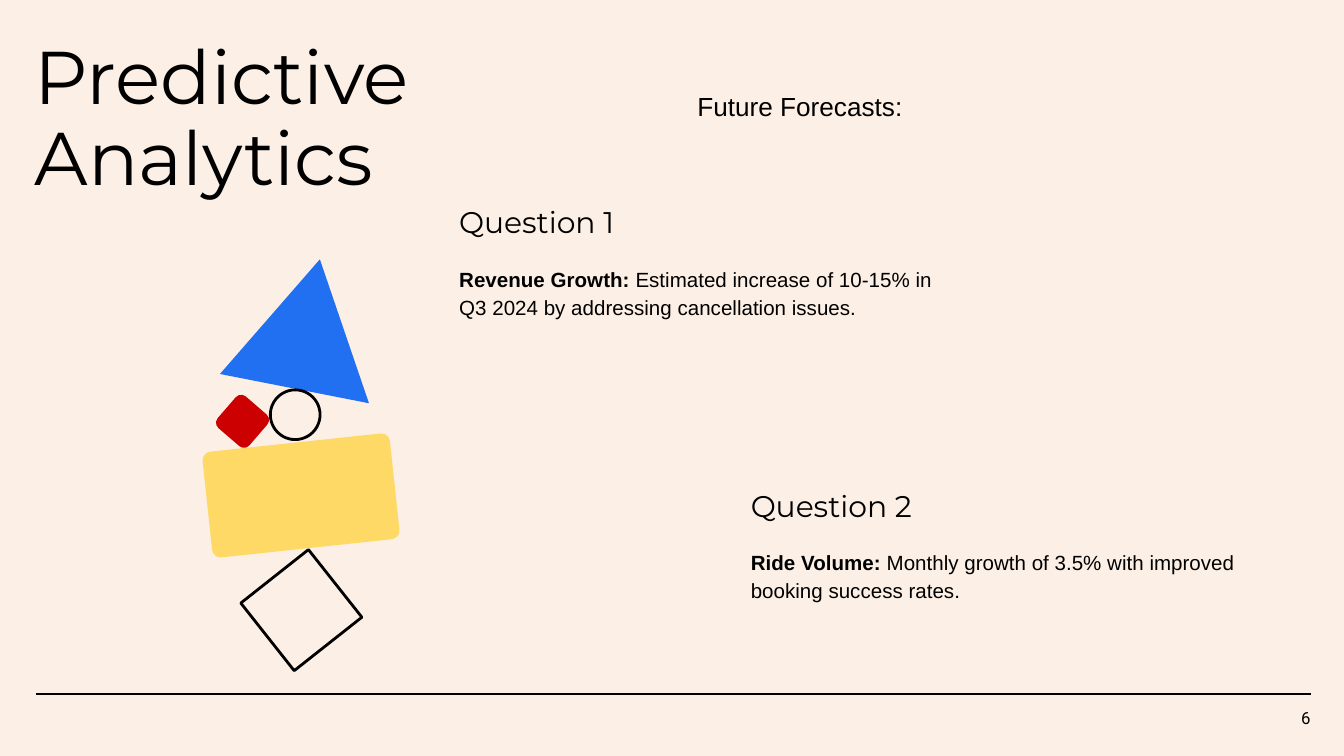
from lxml import etree
from pptx import Presentation
from pptx.dml.color import RGBColor
from pptx.enum.shapes import MSO_CONNECTOR, MSO_SHAPE as SHAPE
from pptx.enum.text import MSO_ANCHOR as ANCHOR, PP_ALIGN as ALIGN
from pptx.oxml.ns import qn
from pptx.util import Cm, Pt

BLACK = "000000"


def color(hex_code):
    return RGBColor.from_string(hex_code)


def add_text(left, top, width, height, text, size, font, spacing=1.0, after=0):
    box = slide.shapes.add_textbox(Cm(left), Cm(top), Cm(width), Cm(height))
    frame = box.text_frame
    frame.word_wrap = True
    frame.margin_left = frame.margin_right = Cm(0.25)
    frame.margin_top = frame.margin_bottom = Cm(0.25)
    frame.text = text
    paragraph = frame.paragraphs[0]
    paragraph.line_spacing = spacing
    paragraph.space_after = Pt(after)
    run = paragraph.runs[0]
    run.font.size = Pt(size)
    run.font.name = font
    run.font.color.rgb = color(BLACK)
    return frame


prs = Presentation()
prs.slide_width, prs.slide_height = Cm(25.4), Cm(14.29)
slide = prs.slides.add_slide(prs.slide_layouts[6])
slide.background.fill.solid()
slide.background.fill.fore_color.rgb = color("FCEFE5")

# Footer rule and page number
rule = slide.shapes.add_connector(
    MSO_CONNECTOR.STRAIGHT, Cm(0.69), Cm(13.12), Cm(24.77), Cm(13.12))
rule.line.color.rgb = color(BLACK)
rule.line.width = Pt(0.75)
etree.SubElement(rule._element.spPr, qn("a:effectLst"))

page_number = add_text(23.5, 13.13, 1.52, 0.86, "6", 9, "Roboto")
page_number.vertical_anchor = ANCHOR.MIDDLE
page_number.paragraphs[0].alignment = ALIGN.RIGHT

# Headings
add_text(0.41, 0.51, 12.52, 3.61, "Predictive Analytics", 40, "Montserrat", 0.9)
add_text(12.93, 1.45, 8.33, 1.12, "Future Forecasts:", 14, "Arial")

# Questions: heading with its forecast below
questions = [
    (8.43, 3.5, "Question 1", "Revenue Growth:",
     " Estimated increase of 10-15% in Q3 2024 by addressing cancellation issues."),
    (13.94, 8.86, "Question 2", "Ride Volume:",
     " Monthly growth of 3.5% with improved booking success rates."),
]
for left, top, question, measure, forecast in questions:
    add_text(left, top, 9.83, 0.86, question, 16, "Montserrat", 1.15, 12)
    answer = add_text(left, top + 1.22, 9.83, 2.29, measure, 11, "Arial", 1.15, 12)
    lead = answer.paragraphs[0].runs[0]
    lead.font.bold = True
    detail = answer.paragraphs[0].add_run()
    detail.text = forecast
    detail.font.size = lead.font.size
    detail.font.name = lead.font.name
    detail.font.color.rgb = color(BLACK)

# Balancing tower: kind, left, top, width, height, rotation, corner, fill
tower = slide.shapes.add_group_shape()
blocks = [
    (SHAPE.RECTANGLE, 4.88, 10.72, 1.63, 1.63, 51.7, None, None),
    (SHAPE.ROUNDED_RECTANGLE, 3.91, 8.36, 3.56, 2.01, 353.9, 0.08, "FFD966"),
    (SHAPE.ISOSCELES_TRIANGLE, 4.37, 4.88, 2.87, 2.49, 11.1, None, "2170F2"),
    (SHAPE.ROUNDED_RECTANGLE, 4.19, 7.57, 0.79, 0.79, 40.8, 0.17, "CC0000"),
    (SHAPE.OVAL, 5.11, 7.37, 0.94, 0.94, 0, None, None),
]
for kind, left, top, width, height, rotation, corner, fill in blocks:
    block = tower.shapes.add_shape(kind, Cm(left), Cm(top), Cm(width), Cm(height))
    block.shadow.inherit = False
    block.rotation = rotation
    if corner:
        block.adjustments[0] = corner
    if fill:
        block.fill.solid()
        block.fill.fore_color.rgb = color(fill)
        block.line.fill.background()
    else:
        block.fill.background()
        block.line.color.rgb = color(BLACK)
        block.line.width = Pt(1.5)

prs.save("out.pptx")
